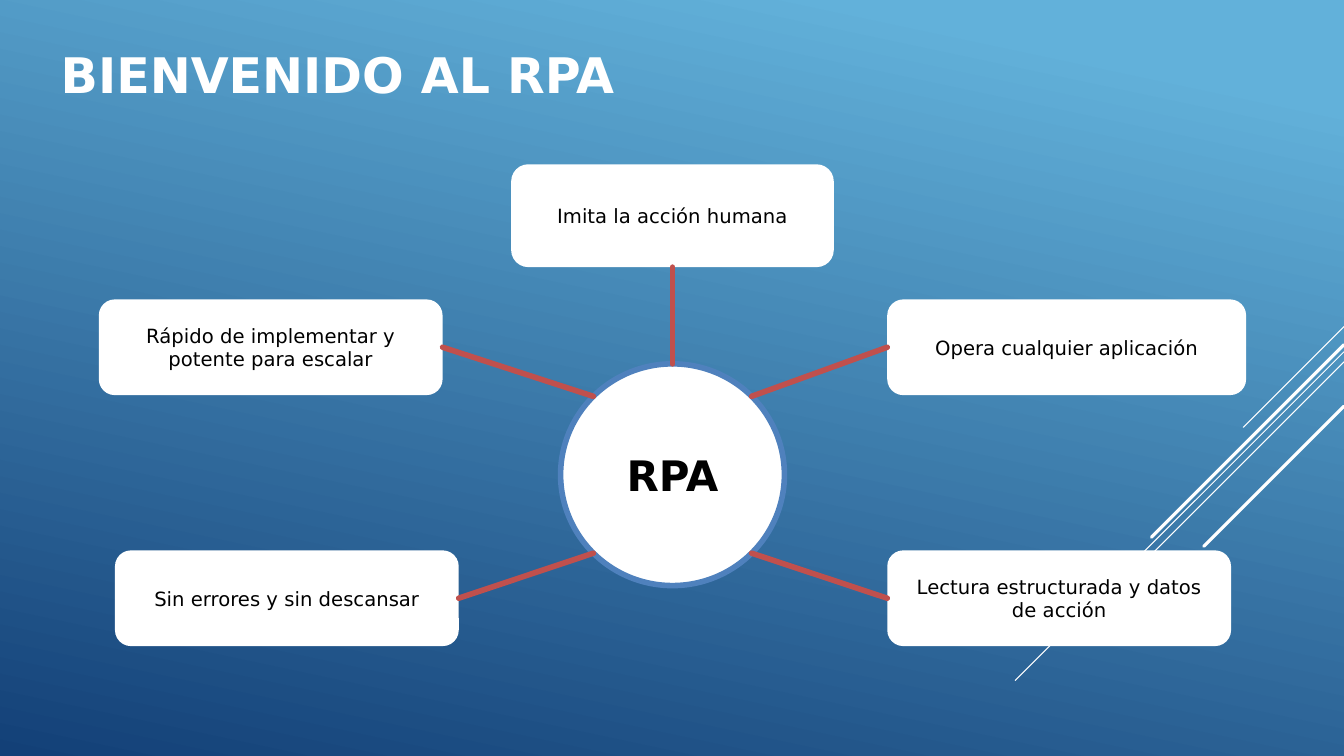
import math
from dataclasses import dataclass

import lxml.etree
import pptx
import pptx.dml.color
import pptx.enum.shapes
import pptx.enum.text
import pptx.oxml.ns
import pptx.util
from pptx.util import Inches

RGB = pptx.dml.color.RGBColor
SHAPE = pptx.enum.shapes.MSO_SHAPE
TOP, LEFT, BOTTOM, RIGHT = range(4)


@dataclass(frozen=True)
class Theme:
    font: str = "DejaVu Sans"
    white: str = "FFFFFF"
    black: str = "000000"
    ring: str = "4F81BD"
    spoke: str = "C0504D"
    sky: str = "62B1DA"
    navy: str = "134077"
    title_size: float = 35
    hub_size: float = 30
    idea_size: float = 14
    spoke_width: float = 4


@dataclass(frozen=True)
class Idea:
    text: str
    left: float
    top: float
    width: float
    height: float
    side: int
    hub_angle: float


@dataclass(frozen=True)
class Ray:
    top: float
    length: float
    weight: float


@dataclass(frozen=True)
class Hub:
    x: float = 6.67
    y: float = 4.71
    rx: float = 1.11
    ry: float = 1.1

    def edge(self, degrees: float) -> tuple[float, float]:
        a = math.radians(degrees)
        return self.x + self.rx * math.cos(a), self.y - self.ry * math.sin(a)


THEME = Theme()
HUB = Hub()
SLIDE_W, SLIDE_H = 13.33, 7.5
RAYS = [
    Ray(3.24, 1, 0.75),
    Ray(3.49, 3.26, 0.75),
    Ray(3.59, 2.07, 0.75),
    Ray(3.42, 1.91, 2.25),
    Ray(4.03, 1.39, 2.25),
]
IDEAS = [
    Idea("Imita la acción humana", 5.07, 1.63, 3.2, 1.02, BOTTOM, 90),
    Idea("Rápido de implementar y potente para escalar", 0.98, 2.97, 3.41, 0.95, RIGHT, 135),
    Idea("Opera cualquier aplicación", 8.8, 2.97, 3.56, 0.95, LEFT, 45),
    Idea("Sin errores y sin descansar", 1.14, 5.46, 3.41, 0.95, RIGHT, 225),
    Idea("Lectura estructurada y datos de acción", 8.8, 5.46, 3.41, 0.95, LEFT, 315),
]


def rgb(value: str) -> RGB:
    return RGB.from_string(value)


def write(sp, text: str, size: float, color: str, bold: bool, anchor) -> None:
    tf = sp.text_frame
    tf.word_wrap = True
    tf.vertical_anchor = anchor
    p = tf.paragraphs[0]
    p.alignment = pptx.enum.text.PP_ALIGN.CENTER
    r = p.add_run()
    r.text = text
    r.font.name = THEME.font
    r.font.size = pptx.util.Pt(size)
    r.font.bold = bold
    r.font.color.rgb = rgb(color)


def add_line(s, start: tuple[float, float], end: tuple[float, float], color: str, weight: float):
    line = s.shapes.add_connector(
        pptx.enum.shapes.MSO_CONNECTOR.STRAIGHT, *map(Inches, start + end))
    line.line.color.rgb = rgb(color)
    line.line.width = pptx.util.Pt(weight)
    line.line._ln.set("cap", "rnd")
    lxml.etree.SubElement(line._element.spPr, pptx.oxml.ns.qn("a:effectLst"))
    return line


def add_box(s, kind, left: float, top: float, width: float, height: float,
            text: str, size: float, bold: bool):
    sp = s.shapes.add_shape(kind, *map(Inches, (left, top, width, height)))
    sp.shadow.inherit = False
    sp.fill.solid()
    sp.fill.fore_color.rgb = rgb(THEME.white)
    sp.line.fill.background()
    sp.text_frame.margin_left = sp.text_frame.margin_right = Inches(0.15)
    write(sp, text, size, THEME.black, bold, pptx.enum.text.MSO_ANCHOR.MIDDLE)
    return sp


def add_background(s) -> None:
    fill = s.background.fill
    fill.gradient()
    fill.gradient_angle = 360 - 102
    for stop, (position, color) in zip(fill.gradient_stops, [(0.1, THEME.sky), (1, THEME.navy)]):
        stop.position = position
        stop.color.rgb = rgb(color)


def add_title(s, text: str) -> None:
    title = s.shapes.title
    title.left, title.top, title.width, title.height = map(Inches, (0.18, 0.39, 6.34, 0.69))
    write(title, text, THEME.title_size, THEME.white, True, pptx.enum.text.MSO_ANCHOR.TOP)


def add_hub(s, text: str):
    sp = add_box(s, SHAPE.OVAL, HUB.x - HUB.rx, HUB.y - HUB.ry, 2 * HUB.rx, 2 * HUB.ry,
                 text, THEME.hub_size, True)
    sp.line.color.rgb = rgb(THEME.ring)
    sp.line.width = pptx.util.Pt(THEME.spoke_width)
    return sp


def add_idea(s, idea: Idea, hub) -> None:
    box = add_box(s, SHAPE.ROUNDED_RECTANGLE, idea.left, idea.top, idea.width, idea.height,
                  idea.text, THEME.idea_size, False)
    spoke = add_line(s, (idea.left, idea.top), HUB.edge(idea.hub_angle),
                     THEME.spoke, THEME.spoke_width)
    spoke.begin_connect(box, idea.side)
    if idea.hub_angle == 90:
        spoke.end_connect(hub, TOP)


def main() -> None:
    prs = pptx.Presentation()
    prs.slide_width, prs.slide_height = Inches(SLIDE_W), Inches(SLIDE_H)
    s = prs.slides.add_slide(prs.slide_layouts[5])
    add_background(s)
    add_title(s, "BIENVENIDO AL RPA")
    for ray in RAYS:
        add_line(s, (SLIDE_W, ray.top), (SLIDE_W - ray.length, ray.top + ray.length),
                 THEME.white, ray.weight)
    hub = add_hub(s, "RPA")
    for idea in IDEAS:
        add_idea(s, idea, hub)
    prs.save("out.pptx")


if __name__ == "__main__":
    main()
